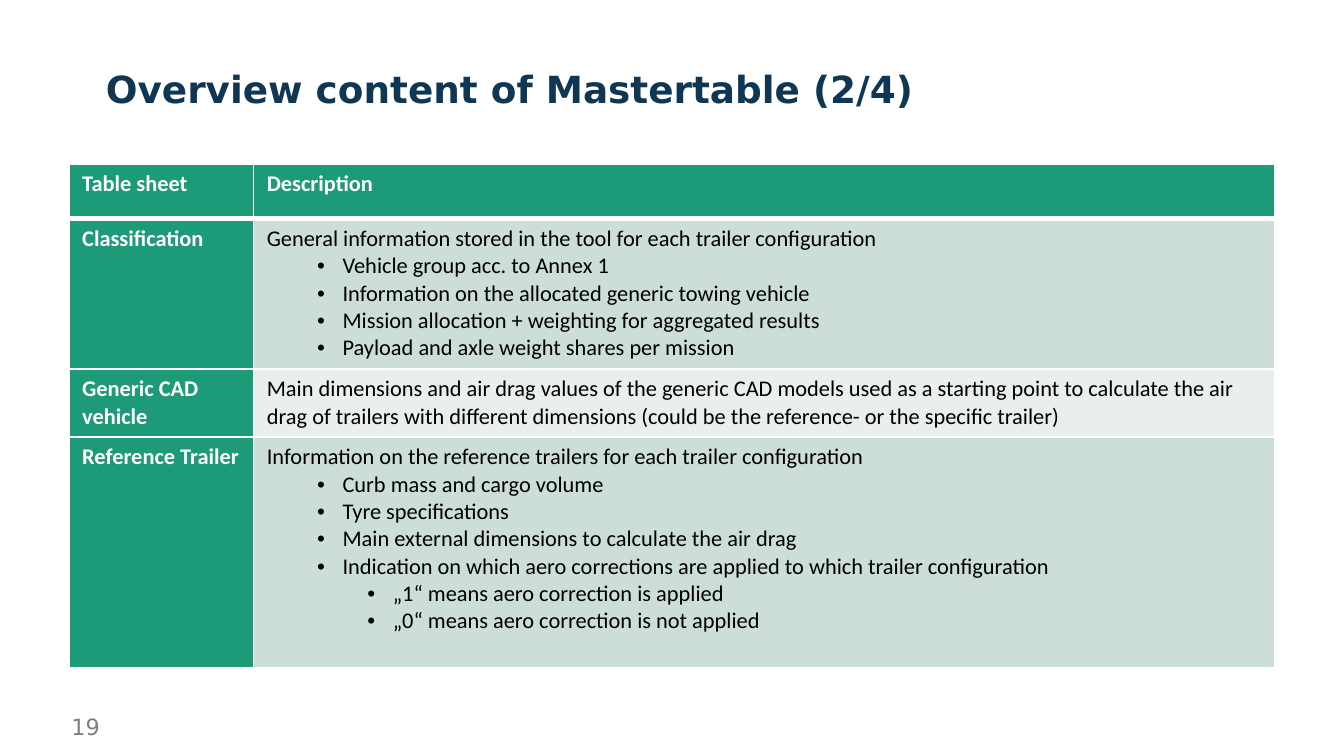
from lxml import etree
from pptx import Presentation
from pptx.dml.color import RGBColor
from pptx.enum import text
from pptx.oxml import ns
from pptx.util import Cm, Pt

WHITE = RGBColor(0xFF, 0xFF, 0xFF)
BLACK = RGBColor(0, 0, 0)
GREY = RGBColor(0x7F, 0x7F, 0x7F)
NAVY = RGBColor(0x0F, 0x37, 0x54)
GREEN = RGBColor(0x1D, 0x9A, 0x78)
BANDS = RGBColor(0xCD, 0xDE, 0xD6), RGBColor(0xE8, 0xEF, 0xEC)

# Content: each description line is (level, text)
TITLE = "Overview content of Mastertable (2/4)"
PAGE = "19"
HEADER = ("Table sheet", "Description")
SHEETS = [
    ("Classification", [
        (0, "General information stored in the tool for each trailer configuration"),
        (1, "Vehicle group acc. to Annex 1"),
        (1, "Information on the allocated generic towing vehicle"),
        (1, "Mission allocation + weighting for aggregated results"),
        (1, "Payload and axle weight shares per mission"),
    ]),
    ("Generic CAD vehicle", [
        (0, "Main dimensions and air drag values of the generic CAD models used as a "
            "starting point to calculate the air drag of trailers with different "
            "dimensions (could be the reference- or the specific trailer)"),
    ]),
    ("Reference Trailer", [
        (0, "Information on the reference trailers for each trailer configuration"),
        (1, "Curb mass and cargo volume"),
        (1, "Tyre specifications"),
        (1, "Main external dimensions to calculate the air drag"),
        (1, "Indication on which aero corrections are applied to which trailer configuration"),
        (2, "„1“ means aero correction is applied"),
        (2, "„0“ means aero correction is not applied"),
    ]),
]
COLUMN_WIDTHS = (3.49, 19.3)
ROW_HEIGHTS = (1.03, 2.84, 1.29, 4.37)
BULLET_INDENTS = {1: 1.43, 2: 2.38}
BULLET_HANG = 0.48


def write(frame, lines, font="Calibri", size=12, color=BLACK, bold=False, spacing=None):
    """Fill a text frame with (level, text) lines in one format."""
    frame.word_wrap = True
    for index, (level, words) in enumerate(lines):
        paragraph = frame.paragraphs[0] if index == 0 else frame.add_paragraph()
        paragraph.level = level
        if spacing:
            paragraph.line_spacing = spacing
        if level:
            props = paragraph._p.get_or_add_pPr()
            props.set("marL", str(Cm(BULLET_INDENTS[level])))
            props.set("indent", str(-Cm(BULLET_HANG)))
            etree.SubElement(props, ns.qn("a:buFont"), typeface="Arial")
            etree.SubElement(props, ns.qn("a:buChar"), char="•")
        run = paragraph.add_run()
        run.text = words
        run.font.name, run.font.size = font, Pt(size)
        run.font.bold, run.font.color.rgb = bold, color


def add_label(slide, box, words, margin_y, **style):
    frame = slide.shapes.add_textbox(*map(Cm, box)).text_frame
    frame.vertical_anchor = text.MSO_ANCHOR.MIDDLE
    frame.margin_top = frame.margin_bottom = Cm(margin_y)
    write(frame, [(0, words)], font="DejaVu Sans", **style)


def set_borders(cell, **widths):
    props = cell._tc.get_or_add_tcPr()
    for position, side in enumerate("LRTB"):
        line = etree.Element(ns.qn(f"a:ln{side}"), w=str(Pt(widths.get(side, 1))))
        fill = etree.SubElement(line, ns.qn("a:solidFill"))
        etree.SubElement(fill, ns.qn("a:srgbClr"), val=str(WHITE))
        props.insert(position, line)


def fill_cell(cell, lines, background, color, bold, **borders):
    cell.fill.solid()
    cell.fill.fore_color.rgb = background
    set_borders(cell, **borders)
    write(cell.text_frame, lines, color=color, bold=bold)


prs = Presentation()
prs.slide_width, prs.slide_height = Cm(25.4), Cm(14.29)
slide = prs.slides.add_slide(prs.slide_layouts[6])

# Title and page number
add_label(slide, (1.75, 0.35, 21.9, 2.77), TITLE, 0.13,
          size=20, color=NAVY, bold=True, spacing=0.9)
add_label(slide, (1.1, 13.35, 5.92, 0.76), PAGE, 0, color=GREY)

# Table grid
table = slide.shapes.add_table(
    len(ROW_HEIGHTS), len(COLUMN_WIDTHS), Cm(1.3), Cm(3.1),
    Cm(sum(COLUMN_WIDTHS)), Cm(sum(ROW_HEIGHTS))).table
for column, width in zip(table.columns, COLUMN_WIDTHS):
    column.width = Cm(width)
for row, height in zip(table.rows, ROW_HEIGHTS):
    row.height = Cm(height)

# Header row, then one row per sheet
for column, heading in enumerate(HEADER):
    fill_cell(table.cell(0, column), [(0, heading)], GREEN, WHITE, True, B=3)
for row, (sheet, description) in enumerate(SHEETS, start=1):
    top = 3 if row == 1 else 1
    fill_cell(table.cell(row, 0), [(0, sheet)], GREEN, WHITE, True, T=top)
    fill_cell(table.cell(row, 1), description, BANDS[(row - 1) % 2], BLACK, False, T=top)

prs.save("out.pptx")
